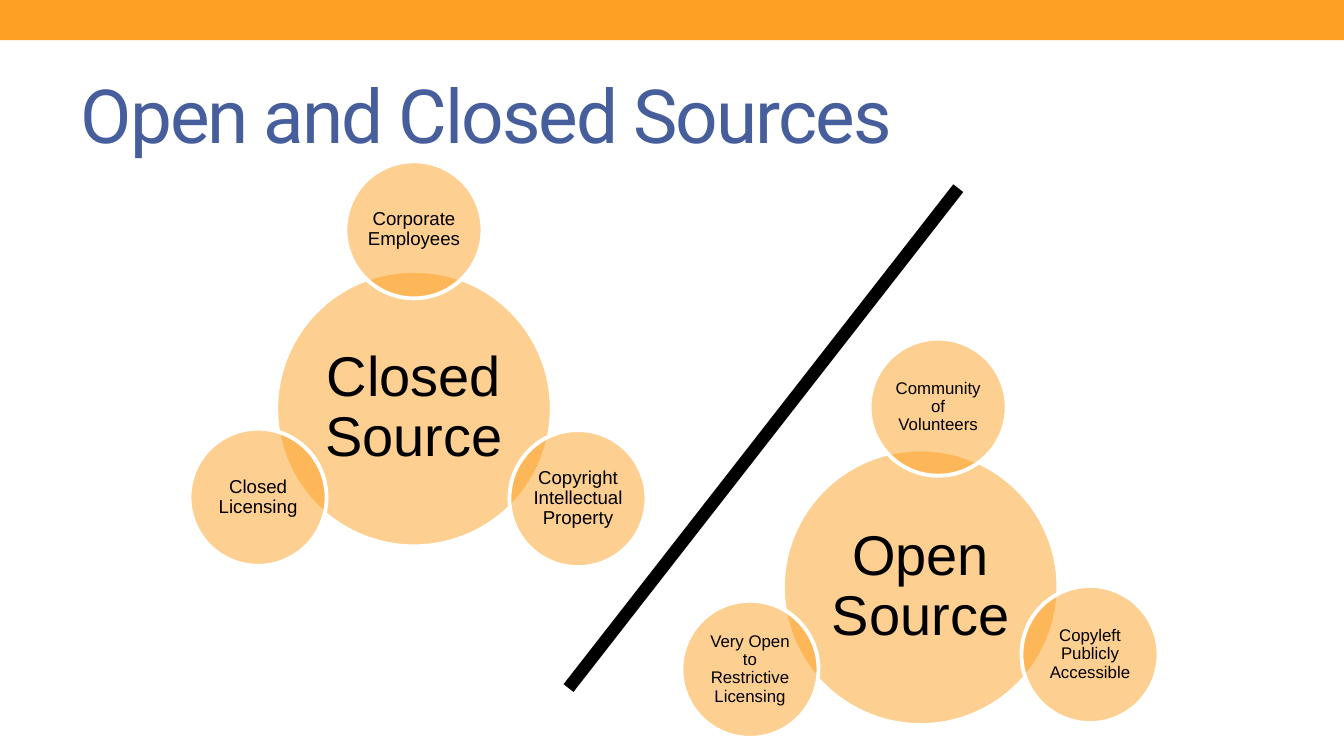
from lxml.etree import SubElement
from pptx import Presentation
from pptx.dml.color import RGBColor
from pptx.enum.shapes import MSO_CONNECTOR, MSO_SHAPE
from pptx.enum.text import MSO_ANCHOR, MSO_AUTO_SIZE, PP_ALIGN
from pptx.oxml.ns import qn
from pptx.util import Inches, Pt

COLORS = {"accent": "FDA023", "title": "465E9C", "ink": "000000", "paper": "FFFFFF"}
COLUMNS, ROWS = 100, 56.25  # square grid cells
HUB, SATELLITE = 20.5, 10.2  # circle diameters in cells


def apply(target, values):
    for name, value in values.items():
        setattr(target, name, value)


class SourceSlide:
    def __init__(self, deck):
        self.slide = deck.slides.add_slide(deck.slide_layouts[5])
        self.column = deck.slide_width / COLUMNS
        self.row = deck.slide_height / ROWS

    def place(self, left, top, width, height):
        return (round(left * self.column), round(top * self.row),
                round(width * self.column), round(height * self.row))

    def color(self, name):
        return RGBColor.from_string(COLORS[name])

    def label(self, frame, text, font, size, color, align, inset):
        margins = ("margin_left", "margin_top", "margin_right", "margin_bottom")
        apply(frame, {"word_wrap": True, "auto_size": MSO_AUTO_SIZE.NONE,
                      "vertical_anchor": MSO_ANCHOR.MIDDLE})
        apply(frame, dict(zip(margins, map(Inches, inset))))
        paragraph = frame.paragraphs[0]
        paragraph.alignment = align
        run = paragraph.add_run()
        run.text = text
        apply(run.font, {"name": font, "size": Pt(size)})
        run.font.color.rgb = self.color(color)
        return paragraph

    def title(self, text, *box):
        heading = self.slide.shapes.title
        apply(heading, dict(zip(("left", "top", "width", "height"), self.place(*box))))
        paragraph = self.label(heading.text_frame, text, "Roboto", 40, "title",
                               PP_ALIGN.LEFT, (0.1, 0.05, 0.1, 0.05))
        paragraph.runs[0].font._element.set("spc", "-100")

    def band(self, *box):
        bar = self.slide.shapes.add_shape(MSO_SHAPE.RECTANGLE, *self.place(*box))
        bar.shadow.inherit = False
        bar.fill.solid()
        bar.fill.fore_color.rgb = self.color("accent")
        bar.line.fill.background()

    def circle(self, group, text, center, diameter, size, inset):
        x, y = center
        disc = group.shapes.add_shape(MSO_SHAPE.OVAL, *self.place(
            x - diameter / 2, y - diameter / 2, diameter, diameter))
        disc.shadow.inherit = False
        disc.fill.solid()
        disc.fill.fore_color.rgb = self.color("accent")
        tint = disc._element.spPr.find(qn("a:solidFill"))[0]
        SubElement(tint, qn("a:alpha"), val="50000")
        disc.line.color.rgb = self.color("paper")
        disc.line.width = Pt(2.08)
        paragraph = self.label(disc.text_frame, text, "Arial", size, "ink",
                               PP_ALIGN.CENTER, (inset,) * 4)
        paragraph.line_spacing = 0.9

    def cluster(self, hub, center, size, satellites):
        group = self.slide.shapes.add_group_shape()
        self.circle(group, hub, center, HUB, 30, 0.04)
        for text, spot in satellites.items():
            self.circle(group, text, spot, SATELLITE, size, 0.01)

    def divider(self, start, end):
        slash = self.slide.shapes.add_connector(
            MSO_CONNECTOR.STRAIGHT, *self.place(*start, *end))
        slash.line.color.rgb = self.color("ink")
        slash.line.width = Pt(6.75)
        SubElement(slash._element.spPr, qn("a:effectLst"))


def main():
    deck = Presentation()
    apply(deck, {"slide_width": Inches(10), "slide_height": Inches(5.625)})
    page = SourceSlide(deck)

    # Heading
    page.band(0, 0, COLUMNS, 3)
    page.title("Open and Closed Sources", 5, 4.4, 90, 8.1)

    # Closed source on the left
    page.cluster("Closed Source", (30.8, 30.4), 10, {
        "Corporate Employees": (30.8, 17.1),
        "Copyright Intellectual Property": (43, 37.1),
        "Closed Licensing": (19.2, 37),
    })

    # Open source on the right
    page.cluster("Open Source", (68.5, 43.7), 9, {
        "Community of Volunteers": (69.8, 30.3),
        "Copyleft Publicly Accessible": (81.1, 48.7),
        "Very Open to Restrictive Licensing": (55.8, 49.8),
    })

    # Slash between the two
    page.divider((71.3, 14), (42.3, 51.2))
    deck.save("out.pptx")


if __name__ == "__main__":
    main()
